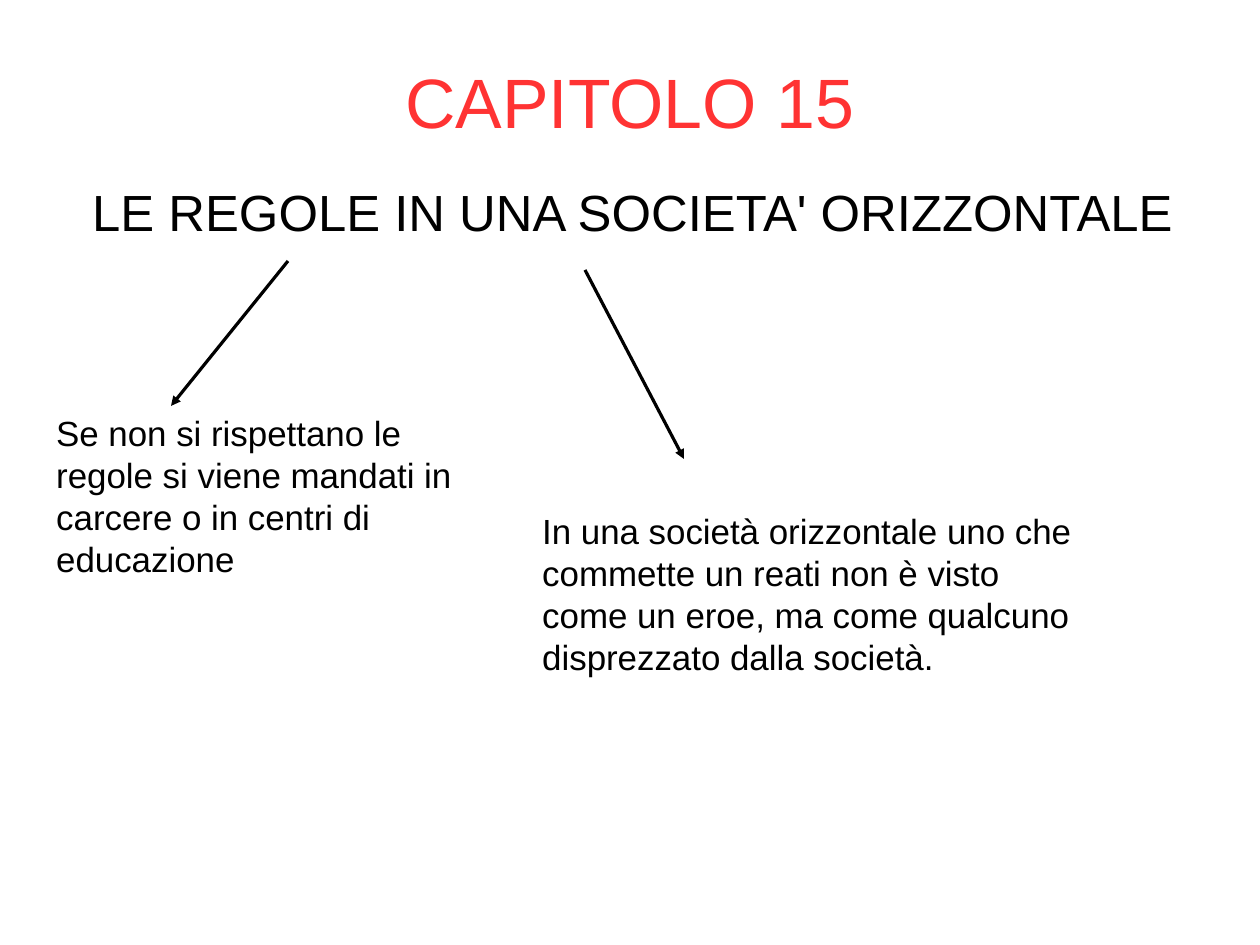
from lxml import etree
from pptx import Presentation
from pptx import util as u
from pptx.dml.color import RGBColor
from pptx.enum import shapes, text
from pptx.oxml.ns import qn

FONT = "Arial"
BLACK = "000000"
RED = "FF3333"


def color(value):
    return RGBColor.from_string(value)


def place(shape, box):
    shape.left, shape.top, shape.width, shape.height = map(u.Cm, box)


def format_text(shape, content, size, font_color):
    frame = shape.text_frame
    frame.word_wrap = True
    frame.auto_size = text.MSO_AUTO_SIZE.NONE
    frame.text = content
    paragraph = frame.paragraphs[0]
    paragraph.font.name = FONT
    paragraph.font.size = u.Pt(size)
    paragraph.font.color.rgb = color(font_color)
    return paragraph


def add_title(slide, box, content):
    title = slide.shapes.title
    place(title, box)
    paragraph = format_text(title, content, 44, RED)
    paragraph.alignment = text.PP_ALIGN.CENTER
    frame = title.text_frame
    frame.vertical_anchor = text.MSO_ANCHOR.MIDDLE
    frame.margin_left = frame.margin_right = 0
    frame.margin_top = frame.margin_bottom = 0


def add_text(slide, box, content, size):
    shape = slide.shapes.add_textbox(*map(u.Cm, box))
    format_text(shape, content, size, BLACK)


def add_arrow(slide, start, end):
    arrow = slide.shapes.add_connector(
        shapes.MSO_CONNECTOR.STRAIGHT, *map(u.Cm, start + end))
    arrow.line.width = u.Pt(0)
    arrow.line.color.rgb = color(BLACK)
    line = arrow.line._get_or_add_ln()
    etree.SubElement(line, qn("a:tailEnd"), type="triangle")
    etree.SubElement(arrow._element.spPr, qn("a:effectLst"))


def add_consequence(slide, box, content, arrow_start, arrow_end):
    left, top = box[:2]
    add_arrow(slide,
              (left + arrow_start[0], top + arrow_start[1]),
              (left + arrow_end[0], top + arrow_end[1]))
    add_text(slide, box, content, 22)


def main():
    presentation = Presentation()
    presentation.slide_width = u.Cm(28)
    presentation.slide_height = u.Cm(21)
    slide = presentation.slides.add_slide(presentation.slide_layouts[5])

    add_title(slide, (1.4, 0.48, 25.2, 3.5), "CAPITOLO 15")
    add_text(slide, (1.8, 3.89, 25.6, 1.52),
             "LE REGOLE IN UNA SOCIETA' ORIZZONTALE", 32)
    add_consequence(
        slide, (1, 9.02, 9.6, 4.6),
        "Se non si rispettano le regole si viene mandati in carcere "
        "o in centri di educazione",
        (5.4, -3.22), (2.8, 0))
    add_consequence(
        slide, (11.8, 11.2, 12.6, 4.6),
        "In una società orizzontale uno che commette un reati non è visto "
        "come un eroe, ma come qualcuno disprezzato dalla società.",
        (1.2, -5.2), (3.4, -1))
    presentation.save("out.pptx")


if __name__ == "__main__":
    main()
